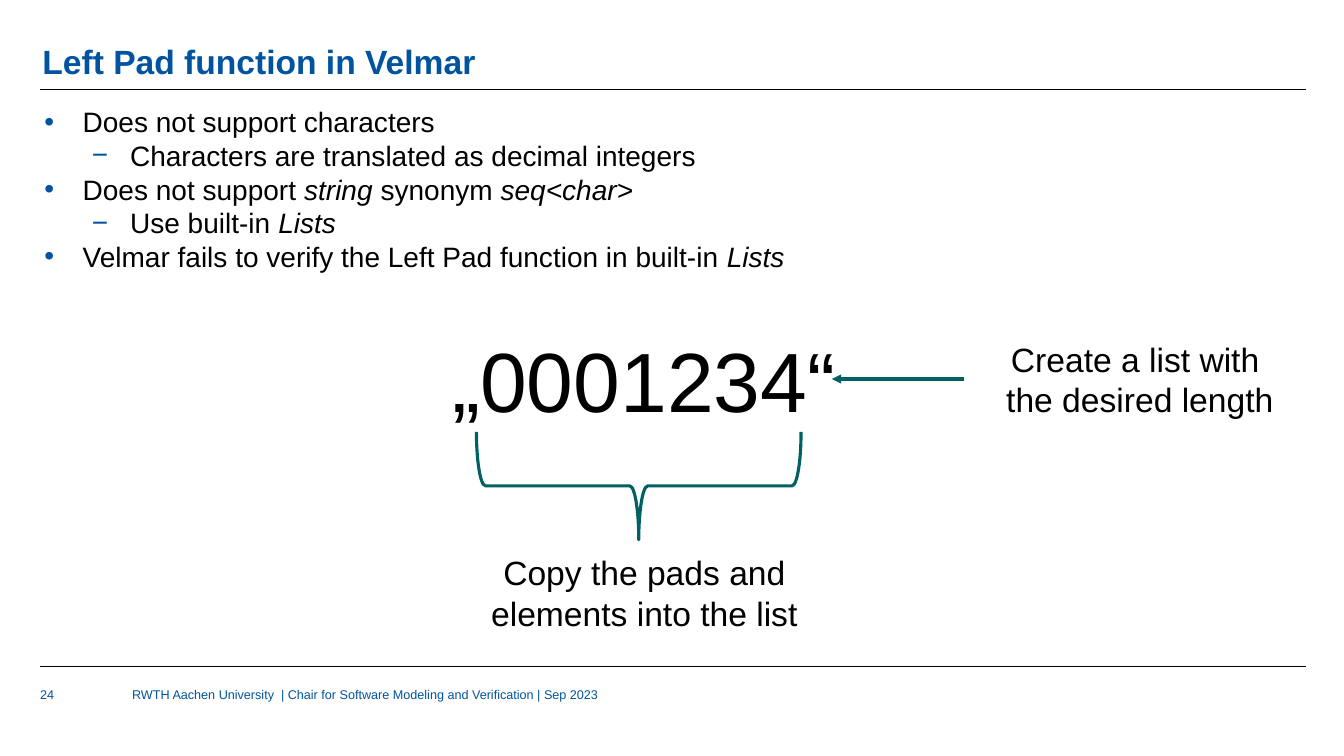
import pptx
import pptx.util
import pptx.dml.color
import pptx.enum.text
import pptx.enum.shapes
import pptx.oxml
import pptx.oxml.ns

RGB = pptx.dml.color.RGBColor
BLUE = RGB(0x00, 0x54, 0x9F)
TEAL = RGB(0x00, 0x61, 0x65)
BLACK = RGB(0x00, 0x00, 0x00)

ANCHOR = pptx.enum.text.MSO_ANCHOR
ALIGN = pptx.enum.text.PP_ALIGN

SMALL = {"size": 9, "color": BLUE, "bold": False,
         "anchor": ANCHOR.TOP, "align": ALIGN.LEFT, "space": 1.0}
HEAD = {**SMALL, "size": 24, "bold": True, "anchor": ANCHOR.BOTTOM, "space": 0.9}
BODY = {**SMALL, "size": 20, "color": BLACK}
NOTE = {**BODY, "size": 24, "anchor": ANCHOR.MIDDLE, "align": ALIGN.CENTER}
WORD = {**NOTE, "size": 60}

LEFT, RIGHT = 2.98, 97.15
FOOT, ROW, TALL = 90.8, 45.07, 10.13
SIDE, TIP = 71.72, 61.89

TEXTS = [
    ((9.83, FOOT, 57.46, 9.2), SMALL,
     ["RWTH Aachen University  | Chair for Software Modeling and Verification | Sep 2023"]),
    ((LEFT, FOOT, 6, 5.73), SMALL, ["24"]),
    ((3.15, 2.93, 94.22, 7.87), HEAD, ["Left Pad function in Velmar"]),
    ((27.83, ROW, 40.14, TALL), WORD, ["„0001234“"]),
    ((SIDE, ROW, 26.18, TALL), NOTE, ["Create a list with ", "the desired length"]),
    ((35.41, 73.33, 25.06, TALL), NOTE, ["Copy the pads and elements into the list"]),
]

LIST = (3.3, 13.87, 66.09, 26.13)
ITEMS = [
    (0, ["Does not support characters"]),
    (1, ["Characters are translated as decimal integers"]),
    (0, ["Does not support ", "string ", "synonym ", "seq<char>"]),
    (1, ["Use built-in ", "Lists"]),
    (0, ["Velmar fails to verify the Left Pad function in built-in ", "Lists"]),
]
MARKS = "•−"
STEPS = (2.85, 6.38)
HANG = 2.85

MID = ROW + TALL / 2
LINES = [
    ((LEFT, 11.87, RIGHT, 11.87), BLACK, 0.5, False),
    ((LEFT, 88.08, RIGHT, 88.08), BLACK, 0.5, False),
    ((SIDE, MID, TIP, MID), TEAL, 2.25, True),
]
BRACE = (43.51, 42.8, 8.03, 42.93)

deck = pptx.Presentation()
deck.slide_width = pptx.util.Inches(13.33)
deck.slide_height = pptx.util.Inches(7.5)
slide = deck.slides.add_slide(deck.slide_layouts[6])
shapes = slide.shapes


def wide(share):
    return round(deck.slide_width * share / 100)


def high(share):
    return round(deck.slide_height * share / 100)


def place(box):
    x, y, w, h = box
    return wide(x), high(y), wide(w), high(h)


def node(top, tag, **attrs):
    item = pptx.oxml.ns.qn(tag)
    child = top.makeelement(item, attrs)
    top.append(child)
    return child


def apply(thing, vals):
    for key, val in vals.items():
        setattr(thing, key, val)


def write(box, look, paras):
    frame = shapes.add_textbox(*place(box)).text_frame
    apply(frame, {"word_wrap": True, "vertical_anchor": look["anchor"],
                  "margin_left": 0, "margin_top": 0,
                  "margin_right": 0, "margin_bottom": 0})
    for num, runs in enumerate(paras):
        para = frame.add_paragraph() if num else frame.paragraphs[0]
        apply(para, {"alignment": look["align"], "line_spacing": look["space"]})
        for spot, text in enumerate(runs):
            run = para.add_run()
            run.text = text
            apply(run.font, {"name": "Arial", "size": pptx.util.Pt(look["size"]),
                             "bold": look["bold"], "italic": spot % 2 == 1})
            run.font.color.rgb = look["color"]
    return frame


def bullet(para, level):
    para.level = level
    props = para._p.get_or_add_pPr()
    props.set("marL", str(wide(STEPS[level])))
    props.set("indent", str(-wide(HANG)))
    tint = node(props, "a:buClr")
    node(tint, "a:srgbClr", val=str(BLUE))
    node(props, "a:buFont", typeface="Arial")
    node(props, "a:buChar", char=MARKS[level])


def stroke(line, color, width):
    line.color.rgb = color
    line.width = pptx.util.Pt(width)


for box, look, paras in TEXTS:
    write(box, look, [[text] for text in paras])

frame = write(LIST, BODY, [runs for level, runs in ITEMS])
for para, (level, runs) in zip(frame.paragraphs, ITEMS):
    bullet(para, level)

for (x1, y1, x2, y2), color, width, arrow in LINES:
    link = shapes.add_connector(pptx.enum.shapes.MSO_CONNECTOR.STRAIGHT,
                                wide(x1), high(y1), wide(x2), high(y2))
    stroke(link.line, color, width)
    if arrow:
        node(link.line._get_or_add_ln(), "a:tailEnd", type="triangle")
    node(link._element.spPr, "a:effectLst")

brace = shapes.add_shape(pptx.enum.shapes.MSO_SHAPE.RIGHT_BRACE, *place(BRACE))
brace.rotation = 90
brace.shadow.inherit = False
brace.fill.background()
stroke(brace.line, TEAL, 2.25)

deck.save("out.pptx")
